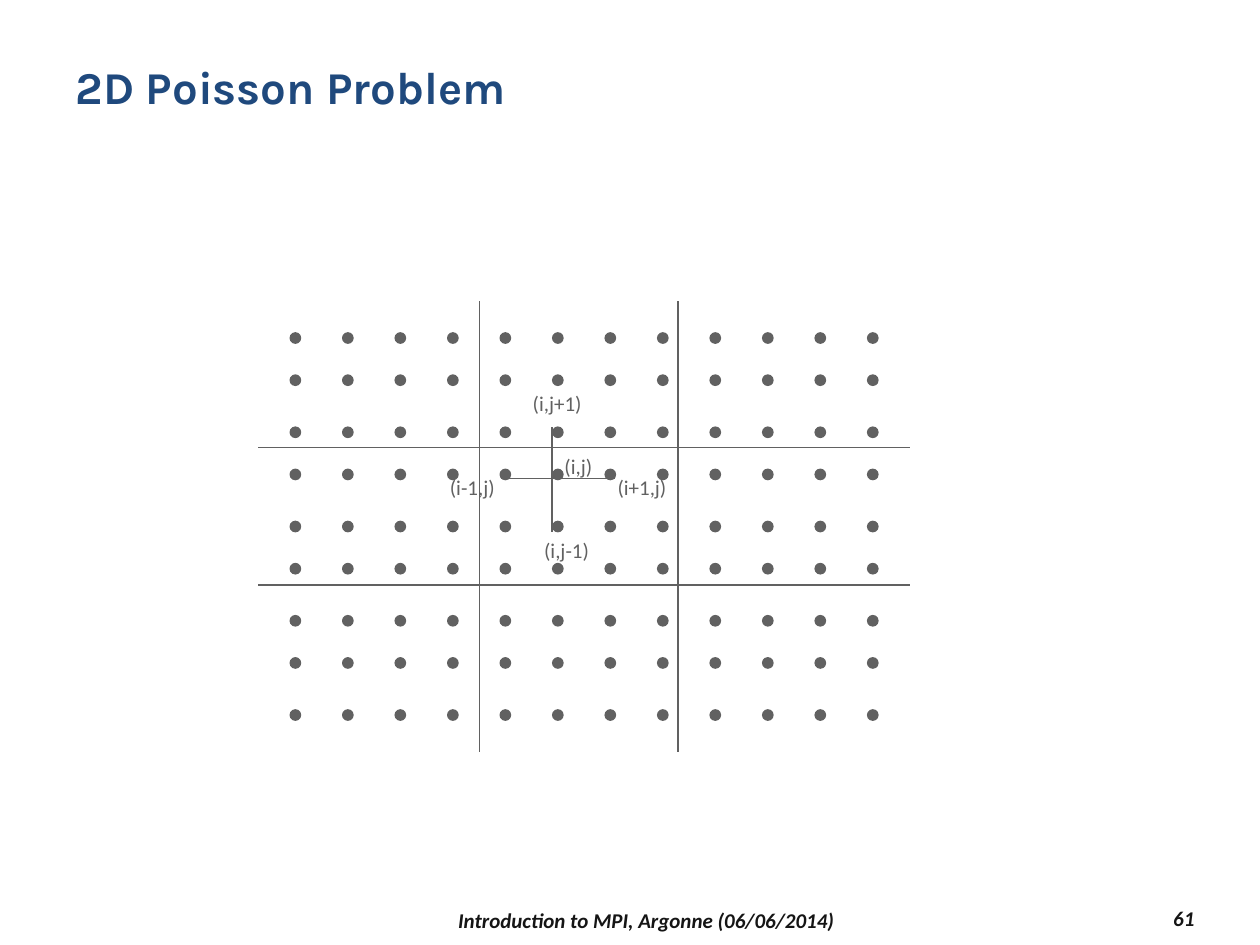
from dataclasses import dataclass
from itertools import product

from pptx import Presentation
from pptx.dml.color import RGBColor as RGB
from pptx.enum.shapes import MSO_CONNECTOR as Conn, MSO_SHAPE as Shape
from pptx.enum.text import MSO_ANCHOR as Anchor, MSO_AUTO_SIZE as Fit, PP_ALIGN as Align
from pptx.oxml.ns import qn
from pptx.util import Cm, Pt


@dataclass(frozen=True)
class Theme:
    title: RGB = RGB(0x1F, 0x49, 0x7D)
    grid: RGB = RGB(0x61, 0x61, 0x61)
    footer: RGB = RGB(0x15, 0x15, 0x15)
    title_font: str = "Karla"
    body_font: str = "Calibri"
    title_size: float = 26
    body_size: float = 12
    line_width: float = 0.75


T = Theme()
TITLE = dict(name=T.title_font, size=Pt(T.title_size), bold=True)
LABEL = dict(name=T.body_font, size=Pt(T.body_size))
FOOTER = dict(LABEL, bold=True, italic=True)


def write(sp, text, fmt, color, align=Align.LEFT, **frame):
    tf = sp.text_frame
    for name, value in frame.items():
        setattr(tf, name, value)
    p = tf.paragraphs[0]
    p.alignment = align
    r = p.add_run()
    r.text = text
    for name, value in fmt.items():
        setattr(r.font, name, value)
    r.font.color.rgb = color


def add_text(s, box, text, fmt, color, align=Align.LEFT, **frame):
    sp = s.shapes.add_textbox(*map(Cm, box))
    write(sp, text, fmt, color, align, **frame)


def add_line(s, x1, y1, x2, y2):
    ln = s.shapes.add_connector(Conn.STRAIGHT, *map(Cm, (x1, y1, x2, y2)))
    ln.line.color.rgb = T.grid
    ln.line.width = Pt(T.line_width)
    props = ln._element.spPr
    props.append(props.makeelement(qn("a:effectLst"), {}))


def add_title(s, box, text):
    sp = s.shapes.title
    for name, value in zip(("left", "top", "width", "height"), box):
        setattr(sp, name, Cm(value))
    write(sp, text, TITLE, T.title, word_wrap=True, auto_size=Fit.NONE,
          vertical_anchor=Anchor.TOP)


def add_mesh(s, box, cols=12, rows=9, margin=0.64, dot=0.21, odd_row=0.85):
    left, top, width, height = box
    pitch = (width - 2 * margin - dot) / (cols - 1)
    pair = (height - 2 * margin - dot) / (rows // 2)
    for row, col in product(range(rows), range(cols)):
        x = left + margin + col * pitch
        y = top + margin + row // 2 * pair + row % 2 * odd_row
        sp = s.shapes.add_shape(Shape.OVAL, *map(Cm, (x, y, dot, dot)))
        sp.shadow.inherit = False
        sp.fill.solid()
        sp.fill.fore_color.rgb = sp.line.color.rgb = T.grid
        sp.line.width = Pt(T.line_width)


def add_stencil(s, box):
    left, top = box[:2]
    arms = [(4.88, 3.58, 7.19, 3.58), (5.92, 2.54, 5.92, 4.65)]
    for x1, y1, x2, y2 in arms:
        add_line(s, left + x1, top + y1, left + x2, top + y2)
    labels = [
        ("(i,j)", 5.92, 2.95, 1.14, False),
        ("(i+1,j)", 6.99, 3.38, 1.57, True),
        ("(i-1,j)", 3.61, 3.38, 1.5, False),
        ("(i,j-1)", 5.51, 4.65, 1.5, False),
        ("(i,j+1)", 5.28, 1.68, 1.57, False),
    ]
    for text, x, y, width, wrap in labels:
        add_text(s, (left + x, top + y, width, 0.76), text, LABEL, T.grid,
                 word_wrap=wrap, auto_size=Fit.SHAPE_TO_FIT_TEXT)


def add_partition(s, box, across=(2.95, 5.72), down=(4.45, 8.46)):
    left, top, width, height = box
    for y in across:
        add_line(s, left, top + y, left + width, top + y)
    for x in down:
        add_line(s, left + x, top, left + x, top + height)


def add_footer(s, box, text, number):
    left, top, width, height = box
    frame = dict(word_wrap=True, vertical_anchor=Anchor.MIDDLE)
    add_text(s, (left, top + 0.05, 15.04, height), text, FOOTER, T.footer,
             Align.CENTER, **frame)
    add_text(s, (left + width - 2.74, top, 2.74, height), number, FOOTER,
             T.footer, Align.RIGHT, **frame)


def main():
    prs = Presentation()
    prs.slide_width, prs.slide_height = Cm(25.4), Cm(19.05)
    s = prs.slides.add_slide(prs.slide_layouts[5])
    grid = (5.21, 6.07, 13.13, 9.09)
    add_title(s, (1.27, 1.07, 21.59, 1.9), "2D Poisson Problem")
    add_mesh(s, grid)
    add_stencil(s, grid)
    add_partition(s, grid)
    add_footer(s, (5.51, 18.16, 18.82, 0.69),
               "Introduction to MPI, Argonne (06/06/2014)", "61")
    prs.save("out.pptx")


if __name__ == "__main__":
    main()
